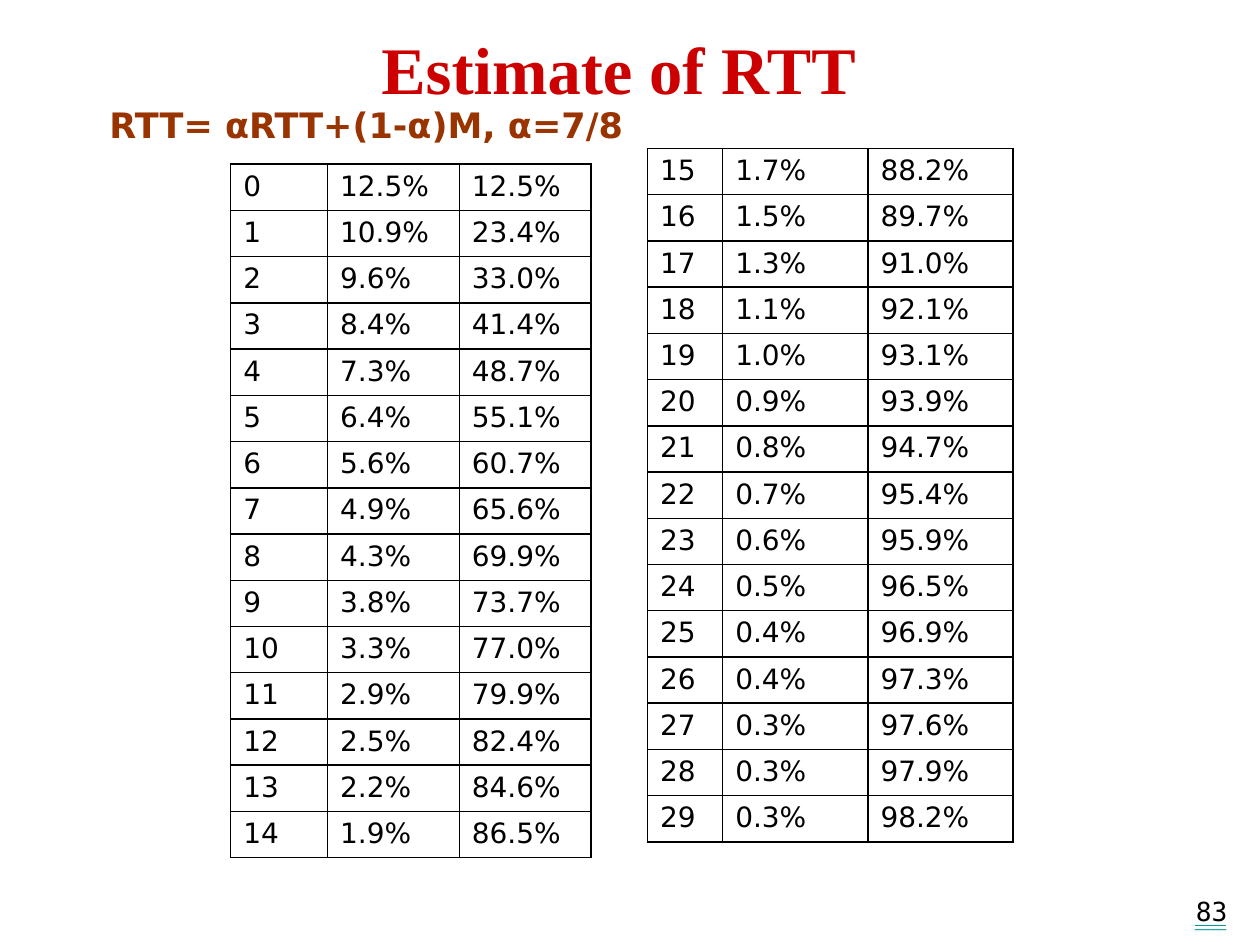
from lxml import etree
from pptx import Presentation
from pptx.dml.color import RGBColor
from pptx.enum.text import MSO_ANCHOR, PP_ALIGN
from pptx.oxml.ns import qn
from pptx.util import Pt

LEFT, CENTER, RIGHT = PP_ALIGN.LEFT, PP_ALIGN.CENTER, PP_ALIGN.RIGHT
TOP, MIDDLE = MSO_ANCHOR.TOP, MSO_ANCHOR.MIDDLE

BLACK = RGBColor(0x00, 0x00, 0x00)
RED = RGBColor(0xCC, 0x00, 0x00)
BROWN = RGBColor(0x99, 0x33, 0x00)
TEAL = RGBColor(0x00, 0x99, 0x99)

SANS = "DejaVu Sans"
MONO = "DejaVu Sans Mono"
SERIF = "Times New Roman"

ALPHA = 7 / 8
ROWS_PER_TABLE = 15
ROW_HEIGHT = 25.7


def style(paragraph, face, size, color, bold=False, underline=False):
    for run in paragraph.runs:
        font = run.font
        font.name = face
        font.size = Pt(size)
        font.color.rgb = color
        font.bold = bold
        font.underline = underline


def add_text(slide, text, box, align, anchor, **font):
    frame = slide.shapes.add_textbox(*map(Pt, box)).text_frame
    frame.word_wrap = True
    frame.vertical_anchor = anchor
    frame.text = text
    line = frame.paragraphs[0]
    line.alignment = align
    style(line, **font)


def add_borders(cell, color, width):
    properties = cell._tc.get_or_add_tcPr()
    for side in ("a:lnL", "a:lnR", "a:lnT", "a:lnB"):
        border = etree.SubElement(properties, qn(side), w=str(Pt(width)))
        fill = etree.SubElement(border, qn("a:solidFill"))
        etree.SubElement(fill, qn("a:srgbClr"), val=str(color))


def weight_row(age):
    weight = (1 - ALPHA) * ALPHA ** age
    total = 1 - ALPHA ** (age + 1)
    return str(age), f"{weight:.1%}", f"{total:.1%}"


def add_weight_table(slide, first_age, left, top, widths):
    table = slide.shapes.add_table(
        ROWS_PER_TABLE, len(widths), Pt(left), Pt(top),
        Pt(sum(widths)), Pt(ROW_HEIGHT * ROWS_PER_TABLE),
    ).table
    table.first_row = False
    table.horz_banding = False
    for column, width in zip(table.columns, widths):
        column.width = Pt(width)
    for offset, row in enumerate(table.rows):
        row.height = Pt(ROW_HEIGHT)
        for cell, value in zip(row.cells, weight_row(first_age + offset)):
            add_borders(cell, BLACK, 1)
            cell.fill.background()
            cell.text = value
            style(cell.text_frame.paragraphs[0], SANS, 16, BLACK)


def main():
    deck = Presentation()
    deck.slide_width, deck.slide_height = Pt(720), Pt(540)
    slide = deck.slides.add_slide(deck.slide_layouts[6])

    add_text(slide, "83", (592.5, 508.3, 116, 20), RIGHT, TOP,
             face=MONO, size=15, color=BLACK)
    add_text(slide, "__", (592, 509.8, 116, 20), RIGHT, TOP,
             face=MONO, size=15, color=TEAL, underline=True)
    add_text(slide, "Estimate of RTT", (36, 11.5, 635, 54), CENTER, MIDDLE,
             face=SERIF, size=38, color=RED, bold=True)
    add_text(slide, "RTT= αRTT+(1-α)M, α=7/8", (55.5, 55.7, 640, 32), LEFT, TOP,
             face=SANS, size=20, color=BROWN, bold=True)

    add_weight_table(slide, 0, 131.8, 93.8, (55.4, 75.3, 75.2))
    add_weight_table(slide, ROWS_PER_TABLE, 370, 84.8, (43, 83, 83))

    deck.save("out.pptx")


if __name__ == "__main__":
    main()
